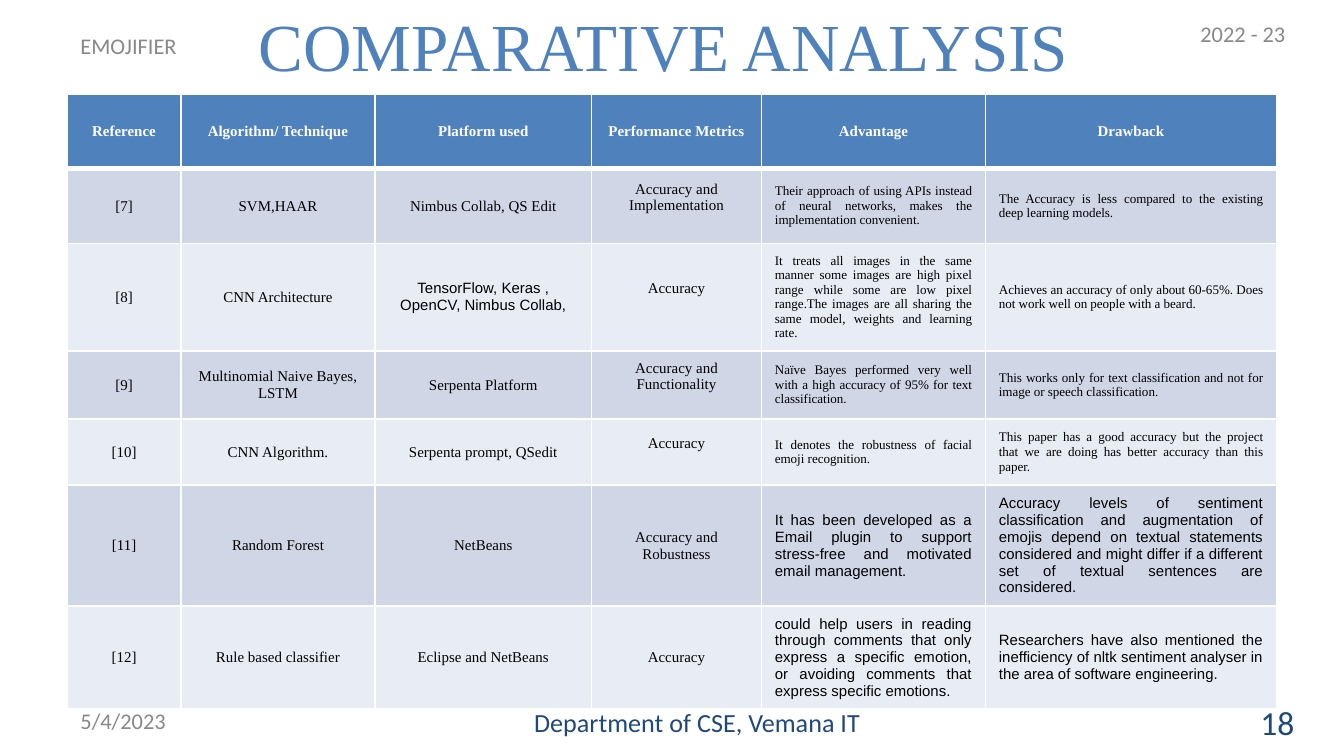
import lxml.etree
import pptx
import pptx.dml.color
import pptx.enum.text
import pptx.oxml.ns
import pptx.util

Pt = pptx.util.Pt
ALIGN = pptx.enum.text.PP_ALIGN
MIDDLE = pptx.enum.text.MSO_ANCHOR.MIDDLE
SERIF, SANS, LABEL = "Times New Roman", "Arial", "Calibri"
COLORS = {
    "accent": "4F81BD", "navy": "1F497D", "grey": "888888", "black": "000000",
    "white": "FFFFFF", "dark band": "CFD7E7", "light band": "E8ECF4",
}

COLUMN_WIDTHS = [61, 104, 116, 91, 120, 156]
ROW_HEIGHTS = [40, 40, 57, 36.5, 35.5, 61, 52]
METRICS, ADVANTAGE = 3, 4
ROWS = [
    ["Reference", "Algorithm/ Technique", "Platform used",
     "Performance Metrics", "Advantage", "Drawback"],
    ["[7]", "SVM,HAAR", "Nimbus Collab, QS Edit", "Accuracy and Implementation",
     "Their approach of using APIs instead of neural networks, makes the "
     "implementation convenient.",
     "The Accuracy is less compared to the existing deep learning models."],
    ["[8]", "CNN Architecture", "TensorFlow, Keras , OpenCV, Nimbus Collab,", "Accuracy",
     "It treats all images in the same manner some images are high pixel range "
     "while some are low pixel range.The images are all sharing the same model, "
     "weights and learning rate.",
     "Achieves an accuracy of only about 60-65%. Does not work well on people "
     "with a beard."],
    ["[9]", "Multinomial Naive Bayes, LSTM", "Serpenta Platform",
     "Accuracy and Functionality",
     "Naïve Bayes performed very well with a high accuracy of 95% for text "
     "classification.",
     "This works only for text classification and not for image or speech "
     "classification."],
    ["[10]", "CNN Algorithm.", "Serpenta prompt, QSedit", "Accuracy",
     "It denotes the robustness of facial emoji recognition.",
     "This paper has a good accuracy but the project that we are doing has "
     "better accuracy than this paper."],
    ["[11]", "Random Forest", "NetBeans", "Accuracy and Robustness",
     "It has been developed as a Email plugin to support stress-free and "
     "motivated email management.",
     "Accuracy levels of sentiment classification and augmentation of emojis "
     "depend on textual statements considered and might differ if a different "
     "set of textual sentences are considered."],
    ["[12]", "Rule based classifier", "Eclipse and NetBeans", "Accuracy",
     "could help users in reading through comments that only express a specific "
     "emotion, or avoiding comments that express specific emotions.",
     "Researchers have also mentioned the inefficiency of nltk sentiment "
     "analyser in the area of software engineering."],
]


class SlideBuilder:
    def __init__(self, slide):
        self.slide = slide

    def color(self, name):
        return pptx.dml.color.RGBColor.from_string(COLORS[name])

    def set_text(self, frame, text, size, font, color, align, bold=False):
        paragraph = frame.paragraphs[0]
        paragraph.text = text
        paragraph.alignment = align
        paragraph.font.size = Pt(size)
        paragraph.font.name = font
        paragraph.font.bold = bold
        paragraph.font.color.rgb = self.color(color)

    def text(self, text, left, top, width, height, size, color,
             font=LABEL, align=ALIGN.LEFT):
        box = self.slide.shapes.add_textbox(Pt(left), Pt(top), Pt(width), Pt(height))
        frame = box.text_frame
        frame.word_wrap = True
        frame.vertical_anchor = MIDDLE
        self.set_text(frame, text, size, font, color, align)

    def borders(self, cell, bottom):
        properties = cell._tc.get_or_add_tcPr()
        qn = pptx.oxml.ns.qn
        for side, width in (("L", 1), ("R", 1), ("T", 1), ("B", bottom)):
            line = lxml.etree.SubElement(properties, qn("a:ln" + side), w=str(Pt(width)))
            fill = lxml.etree.SubElement(line, qn("a:solidFill"))
            lxml.etree.SubElement(fill, qn("a:srgbClr"), val=COLORS["white"])

    def cell(self, cell, text, fill, bottom=1, **style):
        self.borders(cell, bottom)
        cell.fill.solid()
        cell.fill.fore_color.rgb = self.color(fill)
        cell.vertical_anchor = MIDDLE
        self.set_text(cell.text_frame, text, **style)

    def table(self, left, top):
        table = self.slide.shapes.add_table(
            len(ROWS), len(COLUMN_WIDTHS), Pt(left), Pt(top),
            Pt(sum(COLUMN_WIDTHS)), Pt(sum(ROW_HEIGHTS))).table
        for column, width in zip(table.columns, COLUMN_WIDTHS):
            column.width = Pt(width)
        for row, height in zip(table.rows, ROW_HEIGHTS):
            row.height = Pt(height)

        for i, texts in enumerate(ROWS):
            for j, text in enumerate(texts):
                cell = table.cell(i, j)
                if i == 0:
                    self.cell(cell, text, "accent", bottom=3, size=8, font=SERIF,
                              color="white", align=ALIGN.CENTER, bold=True)
                    continue
                prose = j >= ADVANTAGE
                sans = (prose and i >= 5) or (i, j) == (2, 2)
                self.cell(cell, text, "dark band" if i % 2 else "light band",
                          size=7 if prose and not sans else 8,
                          font=SANS if sans else SERIF, color="black",
                          align=ALIGN.JUSTIFY if prose else ALIGN.CENTER)
                # The upper metrics sit a little above the middle
                if j == METRICS and i <= 4:
                    cell.margin_bottom = Pt(13)


def main():
    presentation = pptx.Presentation()
    presentation.slide_width = Pt(720)
    presentation.slide_height = Pt(405)
    builder = SlideBuilder(presentation.slides.add_slide(presentation.slide_layouts[6]))

    # Header
    builder.text("2022 - 23", 636, 4.5, 78, 27, 12, "grey")
    builder.text("COMPARATIVE ANALYSIS", 31.5, -3, 648, 54, 36, "accent",
                 SERIF, ALIGN.CENTER)
    builder.text("EMOJIFIER", 36, 16.5, 222, 16, 12, "grey")

    # Comparison of the referenced papers
    builder.table(36, 50.4)

    # Footer
    builder.text("5/4/2023", 36, 375.5, 168, 21.5, 12, "grey")
    builder.text("Department of CSE, Vemana IT", 240, 376, 228, 21.5, 14, "navy",
                 align=ALIGN.RIGHT)
    builder.text("18", 648, 376, 52.5, 21.5, 18, "navy", align=ALIGN.RIGHT)

    presentation.save("out.pptx")


if __name__ == "__main__":
    main()
